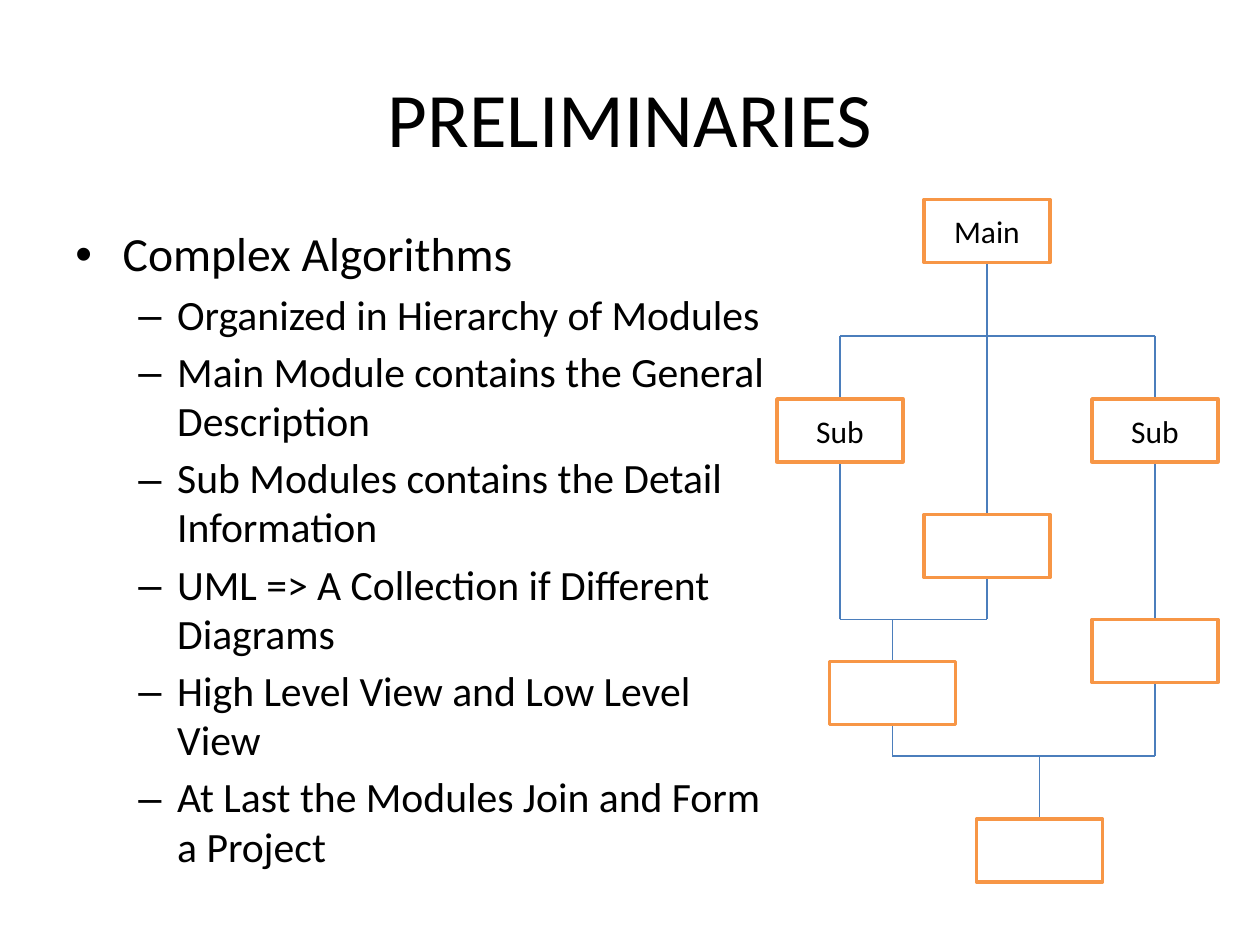
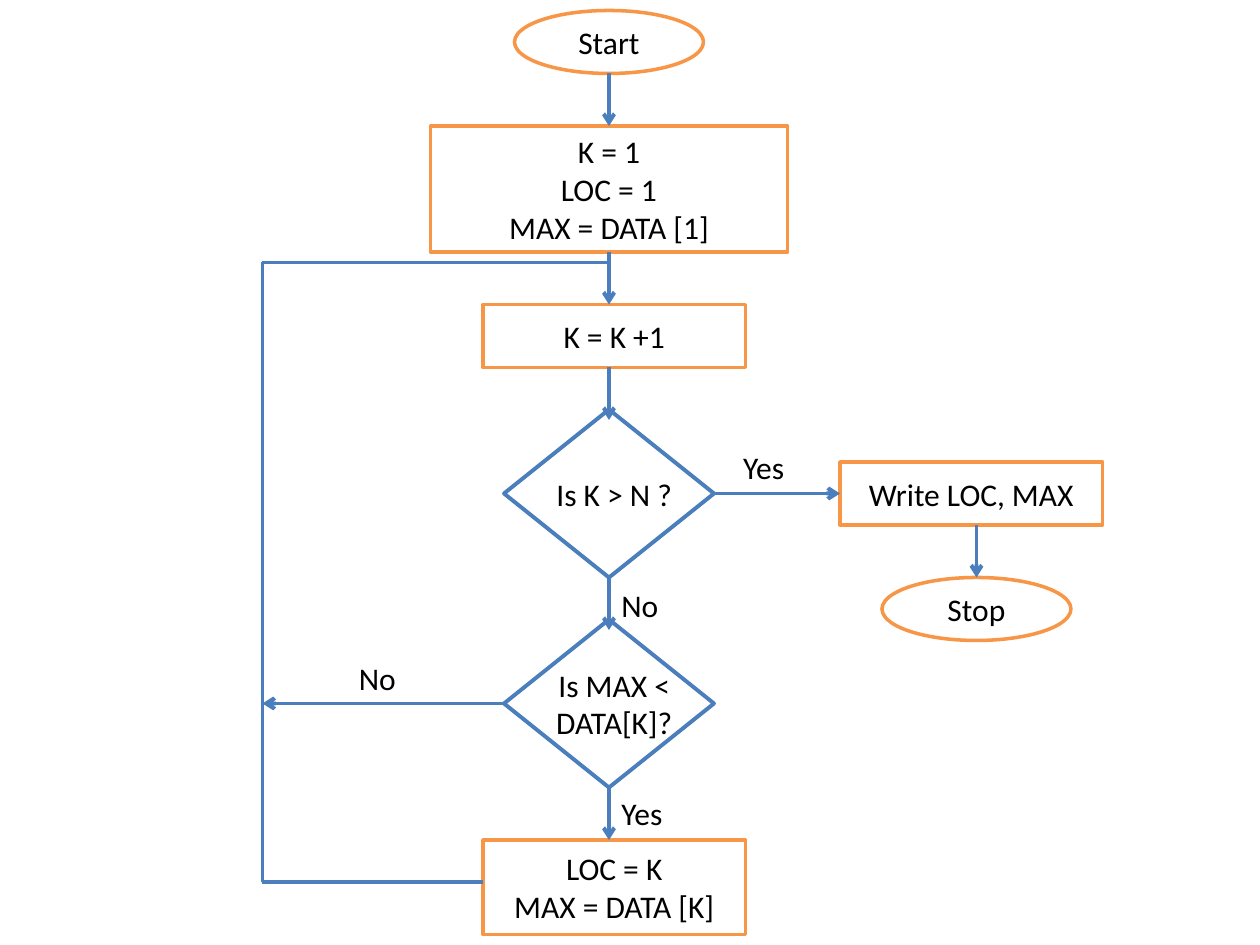
from dataclasses import dataclass
from itertools import pairwise

from lxml.etree import SubElement
from pptx import Presentation
from pptx.dml.color import RGBColor
from pptx.enum.shapes import MSO_CONNECTOR as Wire, MSO_SHAPE as Form
from pptx.enum.text import MSO_ANCHOR as Anchor, MSO_AUTO_SIZE as Fit, PP_ALIGN as Align
from pptx.oxml.ns import qn
from pptx.slide import Slide
from pptx.text.text import TextFrame
from pptx.util import Emu, Pt

Point = tuple[int, int]


@dataclass(frozen=True)
class Theme:
    """Colours, font, type sizes and line widths shared by the slides."""

    font: str = "Calibri"
    ink: RGBColor = RGBColor(0, 0, 0)
    paper: RGBColor = RGBColor(255, 255, 255)
    outline: RGBColor = RGBColor(0xF7, 0x96, 0x46)
    link: RGBColor = RGBColor(0x4B, 0x7E, 0xBC)
    title_size: float = 44
    topic_size: float = 27.2
    detail_size: float = 23.8
    label_size: float = 18
    outline_width: float = 2
    thin: float = 0.75
    thick: float = 2.25


THEME = Theme()
PX_PER_INCH = 120


def px(length: int) -> Emu:
    """Turn px into EMU."""
    return Emu(length * 914400 // PX_PER_INCH)


@dataclass(frozen=True)
class Bullet:
    """A list mark with its level, left margin and hanging indent."""

    mark: str
    level: int
    margin: int
    hang: int


@dataclass(frozen=True)
class Node:
    """A box of a diagram."""

    x: int
    y: int
    text: str = ""
    w: int = 120
    h: int = 60
    form: Form = Form.RECTANGLE

    @property
    def top(self) -> Point:
        """Middle of the upper edge."""
        return self.x + self.w // 2, self.y

    @property
    def bottom(self) -> Point:
        """Middle of the lower edge."""
        return self.x + self.w // 2, self.y + self.h


@dataclass(frozen=True)
class Bus:
    """A horizontal rail with stems that reach the given points."""

    y: int
    ends: tuple[Point, ...]


@dataclass(frozen=True)
class Decision:
    """A question in a diamond around a centre height."""

    question: str
    y: int


@dataclass(frozen=True)
class Answer:
    """A label beside a branch."""

    text: str
    x: int
    y: int
    w: int


TOPIC = Bullet("•", 0, 45, 45)
DETAIL = Bullet("–", 1, 97, 37)
DETAILS = (
    "Organized in Hierarchy of Modules",
    "Main Module contains the General Description",
    "Sub Modules contains the Detail Information",
    "UML => A Collection if Different Diagrams",
    "High Level View and Low Level View",
    "At Last the Modules Join and Form a Project",
)

MAIN = Node(880, 190, "Main")
SUB_LEFT = Node(740, 380, "Sub")
SUB_RIGHT = Node(1040, 380, "Sub")
SUB_MIDDLE = Node(880, 490)
JOINED_LEFT = Node(790, 630)
NEXT_RIGHT = Node(1040, 590)
PROJECT = Node(930, 780)
MODULES = (MAIN, SUB_LEFT, SUB_RIGHT, SUB_MIDDLE, JOINED_LEFT, NEXT_RIGHT, PROJECT)
BUSES = (
    Bus(320, (MAIN.bottom, SUB_LEFT.top, SUB_MIDDLE.top, SUB_RIGHT.top)),
    Bus(590, (SUB_LEFT.bottom, SUB_MIDDLE.bottom, JOINED_LEFT.top)),
    Bus(720, (JOINED_LEFT.bottom, NEXT_RIGHT.bottom, PROJECT.top)),
)

SPINE = 580
LOOP = 250
HALF_W, HALF_H = 100, 80
STEPS = (
    Node(490, 10, "Start", 180, 60, Form.OVAL),
    Node(410, 120, "K = 1\nLOC = 1\nMAX = DATA [1]", 340, 120),
    Node(460, 290, "K = K +1", 250),
    Node(460, 800, "LOC = K\nMAX = DATA [K]", 250, 90),
    Node(800, 440, "Write LOC, MAX", 250),
    Node(840, 550, "Stop", 180, 60, Form.OVAL),
)
AT_END = Decision("Is K > N ?", 470)
IS_LARGER = Decision("Is MAX < DATA[K]?", 670)
SPINE_ARROWS = ((70, 120), (240, 290), (350, 400), (550, 600), (750, 800))
BRANCH_ARROWS = (
    ((SPINE + HALF_W, AT_END.y), (800, AT_END.y)),
    ((930, 500), (930, 550)),
    ((SPINE - HALF_W, IS_LARGER.y), (LOOP, IS_LARGER.y)),
)
LOOP_BACK = ((460, 840), (LOOP, 840), (LOOP, 250), (SPINE, 250))
ANSWERS = (
    Answer("Yes", 696, 421, 64),
    Answer("No", SPINE, 552, 60),
    Answer("Yes", SPINE, 750, 64),
    Answer("No", 330, 622, 60),
)


def write(frame: TextFrame, text: str, *, size: float = THEME.label_size,
          align: Align = Align.CENTER, anchor: Anchor = Anchor.MIDDLE,
          wrap: bool = True, bullet: Bullet | None = None) -> None:
    """Add each line of the text to the frame as a formatted paragraph."""
    frame.word_wrap = wrap
    frame.vertical_anchor = anchor
    for line in text.split("\n"):
        paragraph = frame.add_paragraph() if frame.text else frame.paragraphs[0]
        paragraph.alignment = align
        run = paragraph.add_run()
        run.text = line
        run.font.name, run.font.size = THEME.font, Pt(size)
        run.font.color.rgb = THEME.ink
        if bullet:
            paragraph.level = bullet.level
            paragraph.line_spacing = 0.98
            paragraph.space_before = Pt(size * 0.2)
            props = paragraph._p.get_or_add_pPr()
            props.set("marL", str(px(bullet.margin)))
            props.set("indent", str(-px(bullet.hang)))
            SubElement(props, qn("a:buFont")).set("typeface", "Arial")
            SubElement(props, qn("a:buChar")).set("char", bullet.mark)


def add_frame(slide: Slide, x: int, y: int, w: int, h: int) -> TextFrame:
    """Add a text box and return its frame."""
    return slide.shapes.add_textbox(px(x), px(y), px(w), px(h)).text_frame


def draw_node(slide: Slide, node: Node, line: RGBColor = THEME.outline,
              width: float = THEME.outline_width) -> None:
    """Draw an outlined box with its text."""
    box = slide.shapes.add_shape(node.form, px(node.x), px(node.y), px(node.w), px(node.h))
    box.shadow.inherit = False
    box.fill.solid()
    box.fill.fore_color.rgb = THEME.paper
    box.line.color.rgb = line
    box.line.width = Pt(width)
    if node.text:
        write(box.text_frame, node.text)


def draw_link(slide: Slide, start: Point, end: Point, width: float = THEME.thick,
              arrow: bool = False) -> None:
    """Draw a straight link, with an arrowhead at its end if asked."""
    link = slide.shapes.add_connector(Wire.STRAIGHT, *map(px, start + end))
    link.line.color.rgb = THEME.link
    link.line.width = Pt(width)
    if arrow:
        SubElement(link.line._get_or_add_ln(), qn("a:tailEnd")).set("type", "arrow")
    SubElement(link._element.spPr, qn("a:effectLst"))


def draw_bus(slide: Slide, bus: Bus) -> None:
    """Draw a rail across the outermost stems, and the stems."""
    columns = [x for x, _ in bus.ends]
    draw_link(slide, (min(columns), bus.y), (max(columns), bus.y), THEME.thin)
    for x, y in bus.ends:
        draw_link(slide, (x, bus.y), (x, y), THEME.thin)


def draw_decision(slide: Slide, decision: Decision) -> None:
    """Draw a diamond on the spine with its question."""
    diamond = Node(SPINE - HALF_W, decision.y - HALF_H, "", 2 * HALF_W, 2 * HALF_H, Form.DIAMOND)
    draw_node(slide, diamond, THEME.link, THEME.thick)
    write(add_frame(slide, 510, decision.y - 30, 150, 60), decision.question)


def build_preliminaries(slide: Slide) -> None:
    """Build the slide on modules and their hierarchy."""
    write(add_frame(slide, 60, 36, 1080, 150), "PRELIMINARIES", size=THEME.title_size)
    outline = add_frame(slide, 60, 210, 680, 594)
    write(outline, "Complex Algorithms", size=THEME.topic_size,
          align=Align.LEFT, anchor=Anchor.TOP, bullet=TOPIC)
    write(outline, "\n".join(DETAILS), size=THEME.detail_size,
          align=Align.LEFT, anchor=Anchor.TOP, bullet=DETAIL)
    for bus in BUSES:
        draw_bus(slide, bus)
    draw_link(slide, SUB_RIGHT.bottom, NEXT_RIGHT.top, THEME.thin)
    for module in MODULES:
        draw_node(slide, module)


def build_flowchart(slide: Slide) -> None:
    """Build the flowchart that finds the largest element."""
    for step in STEPS:
        draw_node(slide, step)
    for decision in (AT_END, IS_LARGER):
        draw_decision(slide, decision)
    for start, end in SPINE_ARROWS:
        draw_link(slide, (SPINE, start), (SPINE, end), arrow=True)
    for start, end in BRANCH_ARROWS:
        draw_link(slide, start, end, arrow=True)
    for start, end in pairwise(LOOP_BACK):
        draw_link(slide, start, end)
    for answer in ANSWERS:
        frame = add_frame(slide, answer.x, answer.y, answer.w, 48)
        frame.auto_size = Fit.SHAPE_TO_FIT_TEXT
        write(frame, answer.text, align=Align.LEFT, anchor=Anchor.TOP, wrap=False)


def main() -> None:
    """Build and save the presentation."""
    deck = Presentation()
    deck.slide_width, deck.slide_height = px(1200), px(900)
    for build in (build_preliminaries, build_flowchart):
        build(deck.slides.add_slide(deck.slide_layouts[6]))
    deck.save("out.pptx")


if __name__ == "__main__":
    main()
